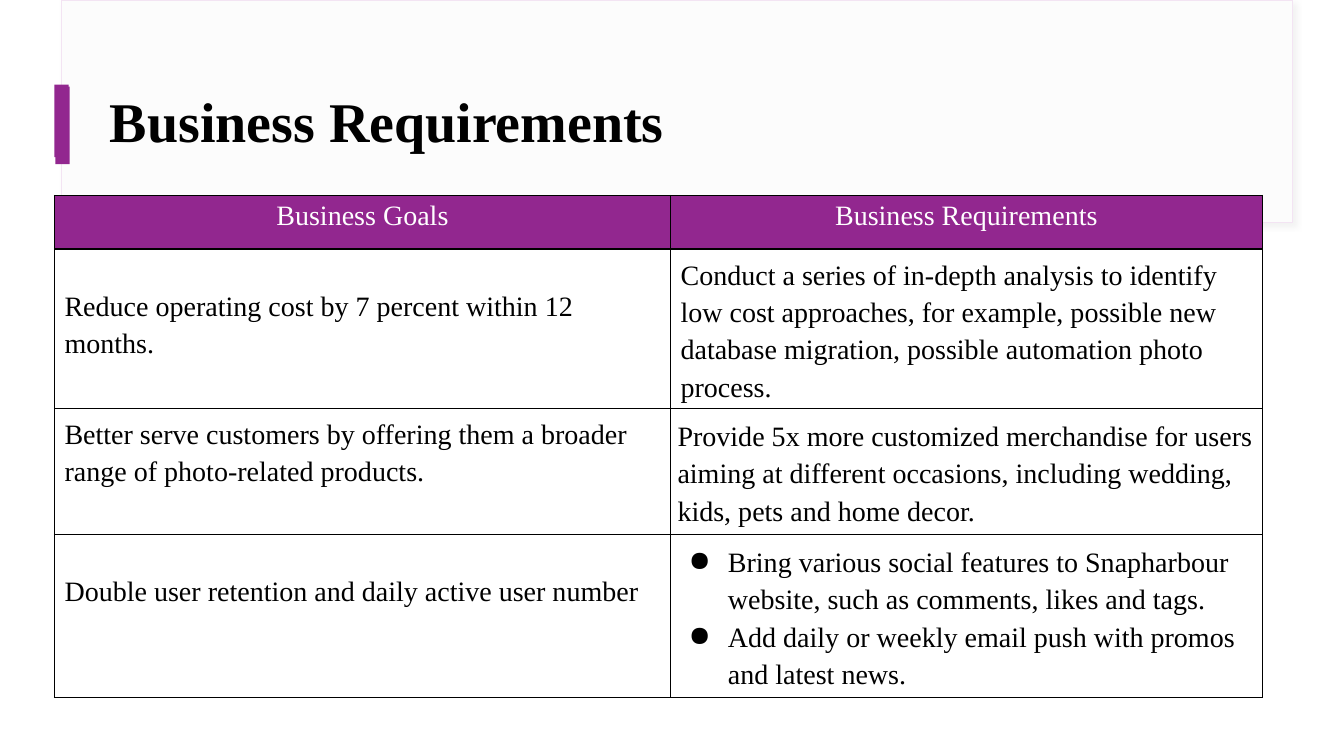
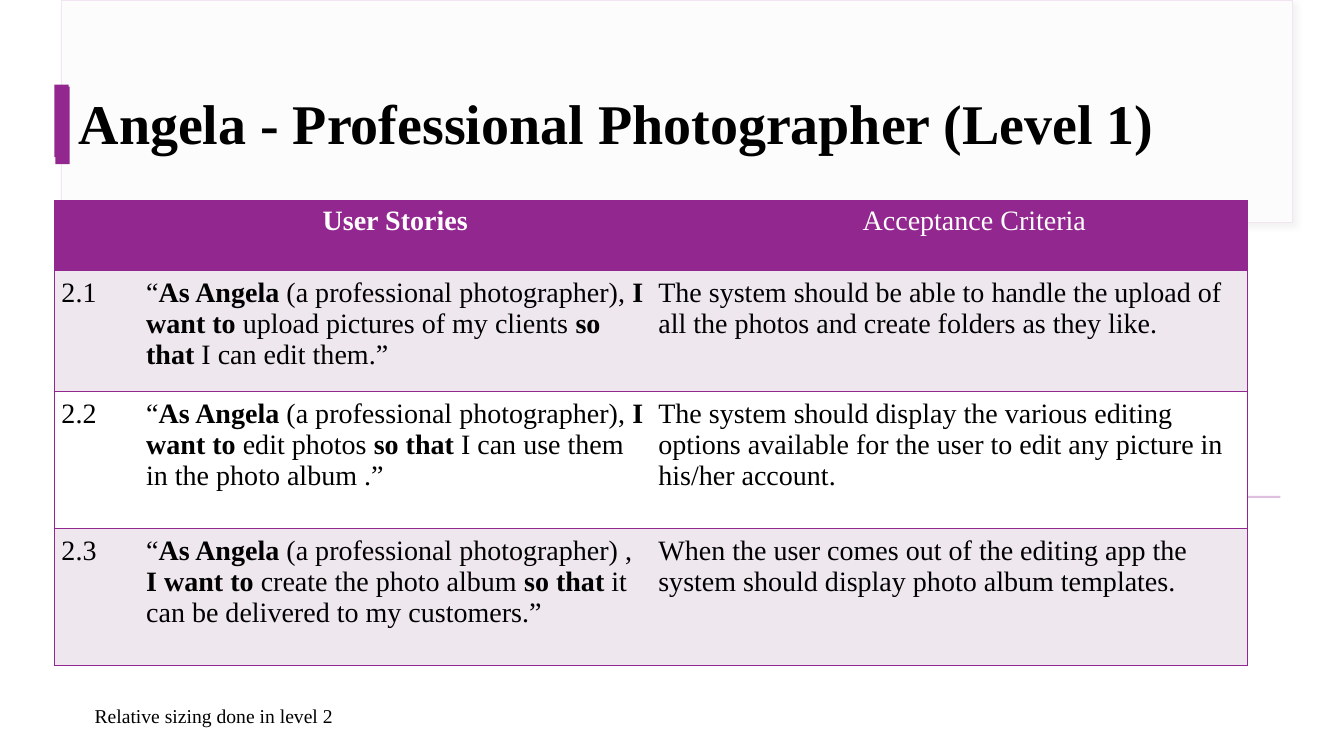
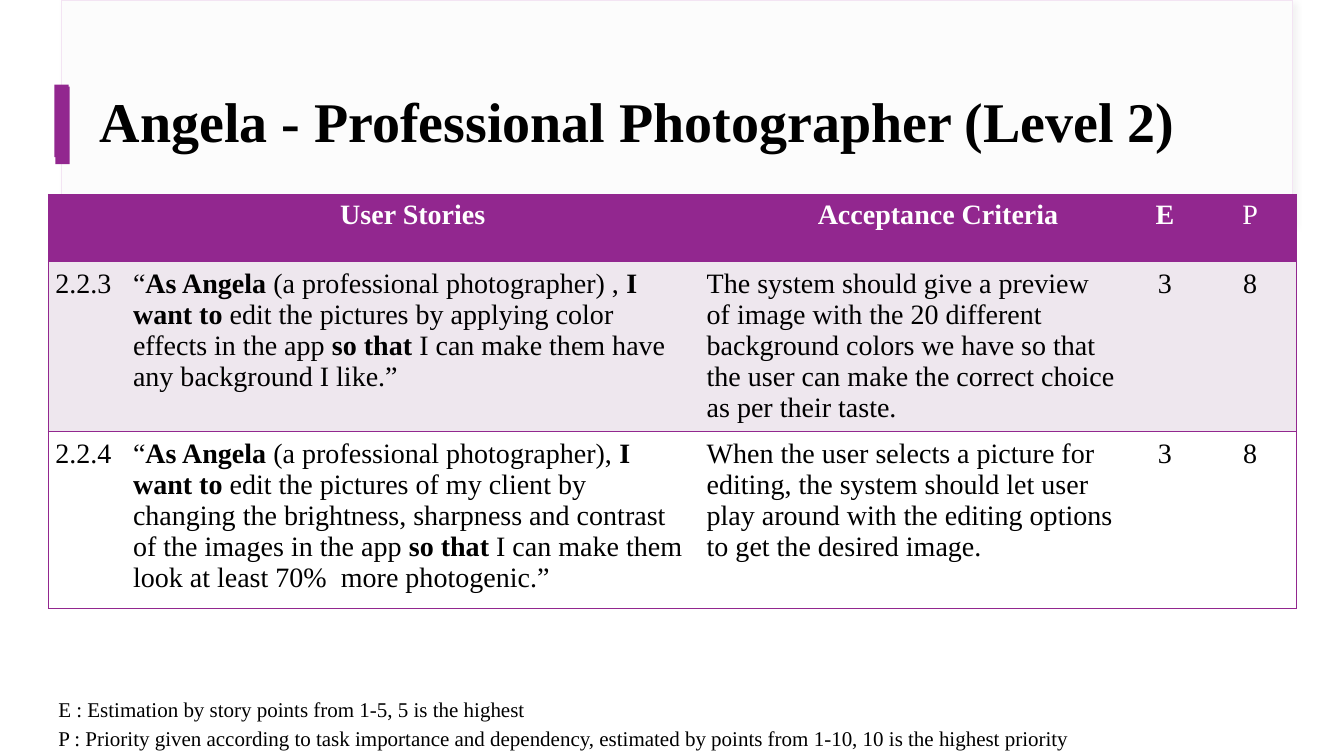
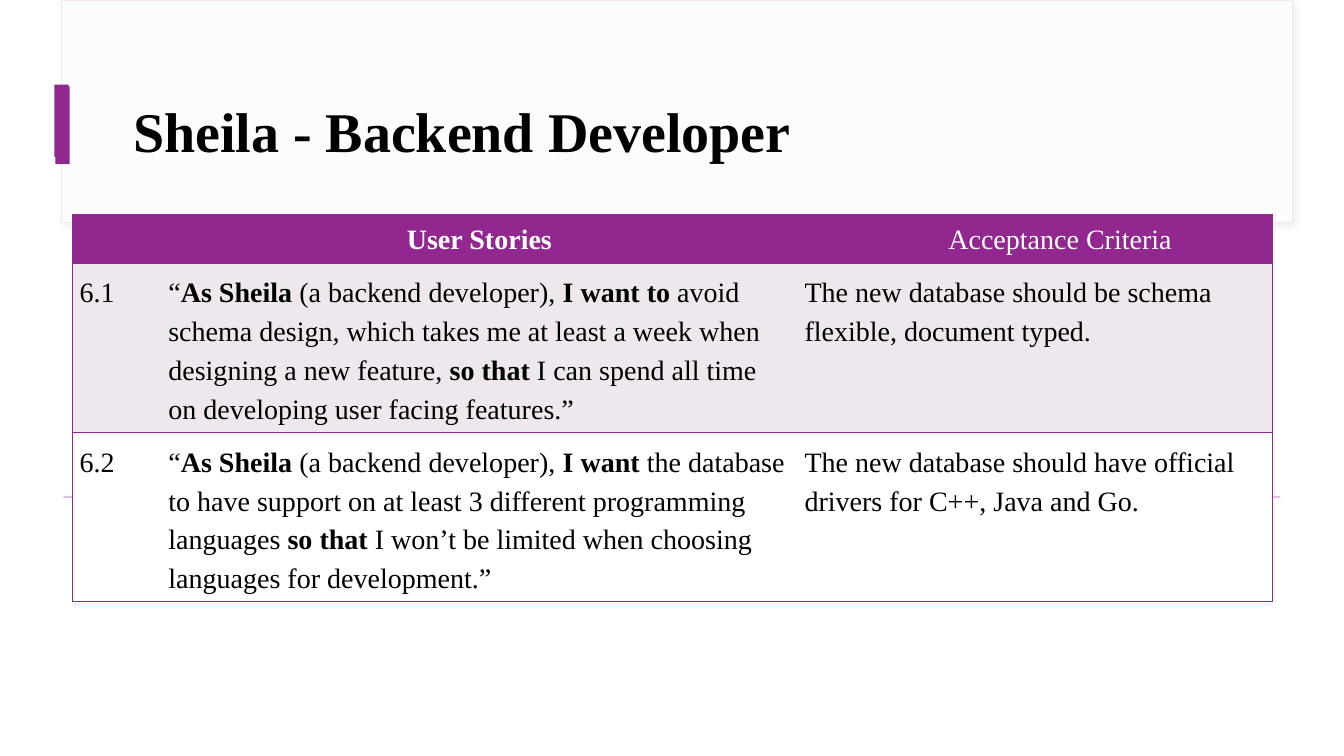
import pptx
import pptx.util
import pptx.dml.color
import pptx.enum.shapes
import pptx.enum.text
import pptx.oxml
import pptx.oxml.ns
from dataclasses import dataclass
from pptx.util import Inches


@dataclass(frozen=True)
class Theme:
    font: str = "Times New Roman"
    purple: str = "92278F"
    rule: str = "E1BFE1"
    band: str = "FCFCFC"
    band_line: str = "F3E4F3"
    stripe: str = "EEE7EE"
    white: str = "FFFFFF"
    black: str = "000000"
    shadow: str = "D8D8D8"
    title_size: int = 40
    table_size: int = 20


THEME = Theme()
HEADER_INSETS = (0.1, 0.05, 0.1, 0.05)
BODY_INSETS = (0.07, 0.07, 0.07, 0.07)
LOWERED_INSETS = (0.1, 0.36, 0.1, 0.05)
INDENTED_INSETS = (0.6, 0.05, 0.1, 0.05)

BAND = (0.61, 0, 12.21, 2.21)
TITLE_BARS = [(0.55, 0.86, 0.14, 0.77), (0.54, 0.84, 0.14, 0.72)]
RULE = (0.63, 4.92, 12.07, 0.02)

SLIDES = [
    {
        "title": "Business Requirements",
        "title_box": (0.99, 0.44, 11.52, 1.5),
        "table": {
            "at": (0.54, 1.94),
            "columns": [6.11, 5.87],
            "heights": [0.53, 1.58, 1.25, 1.62],
            "grid": True,
            "spacing": (1.0, 1.2),
            "insets": {
                (1, 0): LOWERED_INSETS,
                (1, 1): HEADER_INSETS,
                (2, 0): HEADER_INSETS,
                (3, 0): LOWERED_INSETS,
            },
            "rows": [
                ["Business Goals", "Business Requirements"],
                [
                    "Reduce operating cost by 7 percent within 12 months.",
                    "Conduct a series of in-depth analysis to identify low cost approaches, for example, possible new database migration, possible automation photo process.",
                ],
                [
                    "Better serve customers by offering them a broader range of photo-related products.",
                    "Provide 5x more customized merchandise for users aiming at different occasions, including wedding, kids, pets and home decor.",
                ],
                [
                    "Double user retention and daily active user number",
                    [
                        "Bring various social features to Snapharbour website, such as comments, likes and tags.",
                        "Add daily or weekly email push with promos and latest news.",
                    ],
                ],
            ],
        },
    },
    {
        "title": "Angela - Professional Photographer (Level 1)",
        "title_box": (0.68, 0.65, 11.57, 1.12),
        "rule": True,
        "table": {
            "at": (0.54, 1.99),
            "columns": [0.84, 5.08, 5.91],
            "heights": [0.69, 1.2, 1.36, 1.36],
            "insets": {(0, 2): INDENTED_INSETS},
            "rows": [
                ["", "**User Stories**", "Acceptance Criteria"],
                [
                    "2.1",
                    "“**As Angela **(a professional photographer), **I want to** upload pictures of my clients **so that** I can edit them.”",
                    "The system should be able to handle the upload of all the photos and create folders as they like.",
                ],
                [
                    "2.2",
                    "“**As Angela **(a professional photographer), **I want to **edit photos **so that** I can use them in the photo album .”",
                    "The system should display the various editing options available for the user to edit any picture in his/her account.",
                ],
                [
                    "2.3",
                    "“**As Angela **(a professional photographer) , **I want to **create the photo album **so that **it can be delivered to my customers.”",
                    "When the user comes out of the editing app the system should display photo album templates.",
                ],
            ],
        },
        "note": {
            "box": (0.84, 6.88, 3.66, 0.5),
            "size": 14,
            "spacing": 1.0,
            "lines": ["Relative sizing done in level 2"],
        },
    },
    {
        "title": "Angela - Professional Photographer (Level 2)",
        "title_box": (0.89, 0.81, 11.81, 0.77),
        "table": {
            "at": (0.48, 1.93),
            "columns": [0.77, 5.69, 4.23, 0.77, 0.92],
            "heights": [0.66, 1.69, 1.76],
            "insets": {(0, 2): INDENTED_INSETS},
            "centred": (3, 4),
            "rows": [
                ["", "**User Stories**", "**Acceptance Criteria**", "**E**", "P"],
                [
                    "2.2.3",
                    "“**As Angela **(a professional photographer) , **I want to** edit the pictures by applying color effects in the app **so that** I can make them have any background I like.”",
                    "The system should give a preview of image with the 20 different background colors we have so that the user can make the correct choice as per their taste.",
                    "3",
                    "8",
                ],
                [
                    "2.2.4",
                    "“**As Angela **(a professional photographer), **I want to** edit the pictures of my client by changing the brightness, sharpness and contrast of the images in the app **so that** I can make them look at least 70%  more photogenic.”",
                    "When the user selects a picture for editing, the system should let user play around with the editing options to get the desired image.",
                    "3",
                    "8",
                ],
            ],
        },
        "note": {
            "box": (0.48, 6.77, 10.69, 0.73),
            "size": 15,
            "spacing": 1.15,
            "lines": [
                "E : Estimation by story points from 1-5, 5 is the highest",
                "P : Priority given according to task importance and dependency, estimated by points from 1-10, 10 is the highest priority",
            ],
        },
    },
    {
        "title": "Sheila - Backend Developer",
        "title_box": (1.22, 0.65, 11.12, 1.29),
        "rule": True,
        "table": {
            "at": (0.72, 2.13),
            "columns": [0.88, 6.31, 4.71],
            "heights": [0.48, 1.68, 1.68],
            "spacing": (1.15, 1.25),
            "insets": {(0, 2): INDENTED_INSETS},
            "rows": [
                ["", "**User Stories**", "Acceptance Criteria"],
                [
                    "6.1",
                    "“**As Sheila **(a backend developer), **I want to** avoid schema design, which takes me at least a week when designing a new feature, **so that** I can spend all time on developing user facing features.”",
                    "The new database should be schema flexible, document typed.",
                ],
                [
                    "6.2",
                    "“**As Sheila **(a backend developer), **I want **the database to have support on at least 3 different programming languages **so that** I won’t be limited when choosing languages for development.”",
                    "The new database should have official drivers for C++, Java and Go.",
                ],
            ],
        },
    },
]


def rgb(color):
    return pptx.dml.color.RGBColor.from_string(color)


def inches(values):
    return [Inches(value) for value in values]


def add_xml(parent, xml):
    namespace = pptx.oxml.ns.nsdecls("a")
    element = pptx.oxml.parse_xml(xml.replace(" ", f" {namespace} ", 1))
    parent.append(element)


def add_block(slide, box, fill, line=None):
    rectangle = pptx.enum.shapes.MSO_SHAPE.RECTANGLE
    shape = slide.shapes.add_shape(rectangle, *inches(box))
    shape.shadow.inherit = False
    shape.fill.solid()
    shape.fill.fore_color.rgb = rgb(fill)
    if line:
        shape.line.color.rgb = rgb(line)
        shape.line.width = pptx.util.Pt(0.75)
    else:
        shape.line.fill.background()
    return shape


def brand_layout(layout, slide):
    band = add_block(slide, BAND, THEME.band, THEME.band_line)
    effects = band.element.spPr.find(pptx.oxml.ns.qn("a:effectLst"))
    add_xml(
        effects,
        '<a:outerShdw blurRad="50800" dist="38100" dir="2700000">'
        f'<a:srgbClr val="{THEME.shadow}"><a:alpha val="29000"/></a:srgbClr></a:outerShdw>',
    )
    bars = [add_block(slide, box, THEME.purple) for box in TITLE_BARS]
    for number, shape in enumerate([band, *bars], start=101):
        shape.element.xpath(".//p:cNvPr")[0].set("id", str(number))
        layout.shapes.element.append(shape.element)


def write_paragraph(paragraph, text, size, color, spacing=1.0, alignment=None):
    paragraph.line_spacing = spacing
    paragraph.alignment = alignment
    paragraph.font.name = THEME.font
    paragraph.font.size = pptx.util.Pt(size)
    for index, piece in enumerate(text.split("**")):
        if piece:
            run = paragraph.add_run()
            run.text = piece
            run.font.bold = index % 2 == 1
            run.font.color.rgb = rgb(color)


def set_insets(target, insets):
    target.margin_left, target.margin_top, target.margin_right, target.margin_bottom = inches(insets)


def write_lines(frame, lines, *style, bulleted=False):
    for index, line in enumerate(lines):
        paragraph = frame.add_paragraph() if index else frame.paragraphs[0]
        if bulleted:
            properties = paragraph._p.get_or_add_pPr()
            properties.set("marL", str(Inches(0.5)))
            properties.set("indent", str(Inches(-0.39)))
            add_xml(properties, '<a:buChar char="●"/>')
        write_paragraph(paragraph, line, *style)


def set_borders(cell, sides, color):
    properties = cell._tc.get_or_add_tcPr()
    for index, side in enumerate("LRTB"):
        paint = f'<a:solidFill><a:srgbClr val="{color}"/></a:solidFill>' if side in sides else "<a:noFill/>"
        element = pptx.oxml.parse_xml(
            f'<a:ln{side} {pptx.oxml.ns.nsdecls("a")} w="12700">{paint}</a:ln{side}>'
        )
        properties.insert(index, element)


def add_table(slide, spec):
    rows, columns, heights = spec["rows"], spec["columns"], spec["heights"]
    grid = spec.get("grid", False)
    spacings = spec.get("spacing", (1.0, 1.0))
    center = pptx.enum.text.PP_ALIGN.CENTER
    box = inches((*spec["at"], sum(columns), sum(heights)))
    table = slide.shapes.add_table(len(rows), len(columns), *box).table
    table.first_row = table.horz_banding = False
    for column, width in zip(table.columns, columns):
        column.width = Inches(width)
    for row, height in zip(table.rows, heights):
        row.height = Inches(height)
    for row, values in enumerate(rows):
        header = row == 0
        for column, value in enumerate(values):
            cell = table.cell(row, column)
            default = HEADER_INSETS if header else BODY_INSETS
            set_insets(cell, spec["insets"].get((row, column), default))
            bulleted = isinstance(value, list)
            centred = header or column in spec.get("centred", ())
            write_lines(
                cell.text_frame,
                value if bulleted else [value],
                THEME.table_size,
                THEME.white if header else THEME.black,
                spacings[0] if header else spacings[1],
                center if centred else None,
                bulleted=bulleted,
            )
            cell.fill.solid()
            striped = row % 2 == 1 and not grid
            body = THEME.stripe if striped else THEME.white
            cell.fill.fore_color.rgb = rgb(THEME.purple if header else body)
            sides = "TB"
            if grid or column == 0:
                sides += "L"
            if grid or column == len(columns) - 1:
                sides += "R"
            set_borders(cell, sides, THEME.black if grid else THEME.purple)


def add_note(slide, note):
    frame = slide.shapes.add_textbox(*inches(note["box"])).text_frame
    frame.word_wrap = True
    set_insets(frame, (0.1, 0.1, 0.1, 0.1))
    write_lines(frame, note["lines"], note["size"], THEME.black, note["spacing"])


def set_title(slide, text, box):
    title = slide.shapes.title
    title.left, title.top, title.width, title.height = inches(box)
    frame = title.text_frame
    frame.word_wrap = True
    frame.auto_size = pptx.enum.text.MSO_AUTO_SIZE.NONE
    frame.vertical_anchor = pptx.enum.text.MSO_ANCHOR.MIDDLE
    set_insets(frame, HEADER_INSETS)
    left = pptx.enum.text.PP_ALIGN.LEFT
    write_paragraph(frame.paragraphs[0], f"**{text}**", THEME.title_size, THEME.black, 1.0, left)


def main():
    presentation = pptx.Presentation()
    presentation.slide_width, presentation.slide_height = inches((13.33, 7.5))
    layout = presentation.slide_layouts[5]
    for index, spec in enumerate(SLIDES):
        slide = presentation.slides.add_slide(layout)
        if index == 0:
            brand_layout(layout, slide)
        set_title(slide, spec["title"], spec["title_box"])
        if spec.get("rule"):
            add_block(slide, RULE, THEME.rule)
        add_table(slide, spec["table"])
        if "note" in spec:
            add_note(slide, spec["note"])
    presentation.save("out.pptx")


if __name__ == "__main__":
    main()
